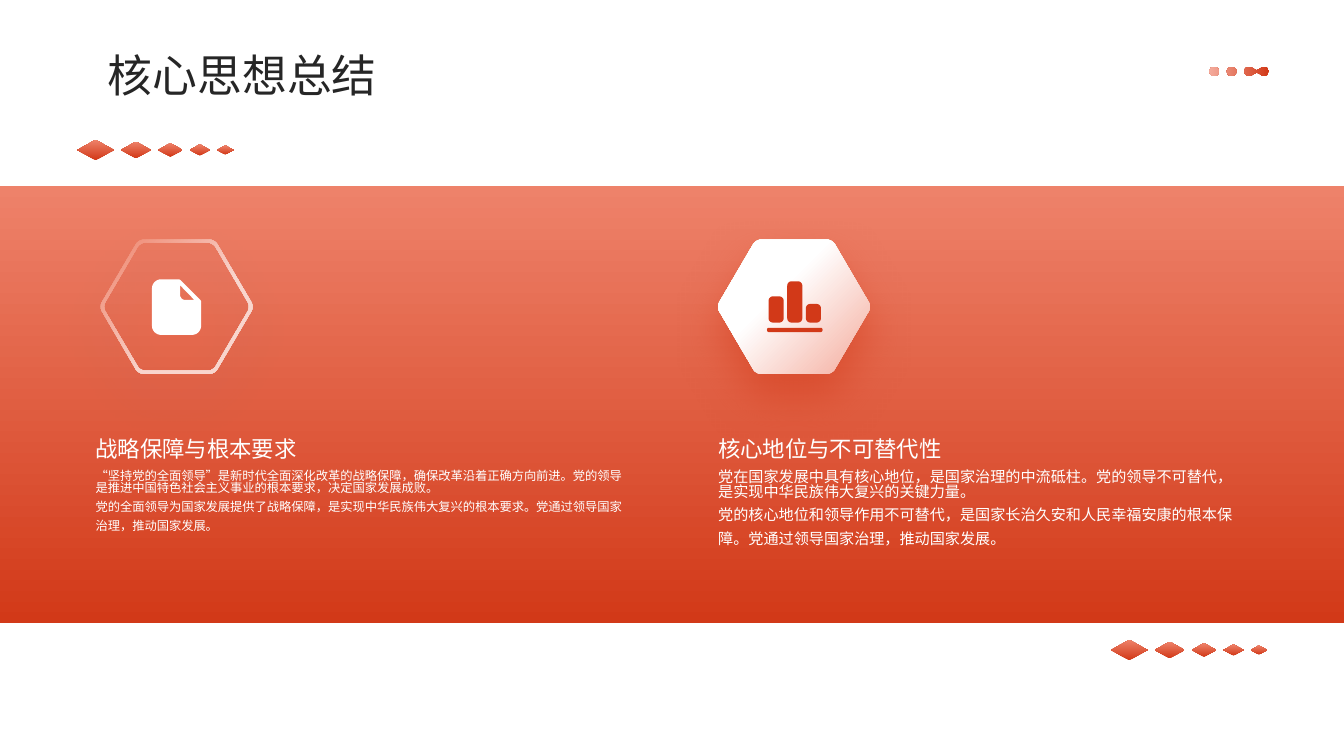
from math import cos, pi, sin

from lxml import etree
from pptx import Presentation
from pptx.dml.color import RGBColor
from pptx.enum.lang import MSO_LANGUAGE_ID
from pptx.enum.shapes import MSO_SHAPE
from pptx.enum.text import MSO_ANCHOR
from pptx.oxml.ns import qn
from pptx.util import Cm, Pt

RECT, DIAMOND = MSO_SHAPE.RECTANGLE, MSO_SHAPE.DIAMOND
TOP, MIDDLE, BOTTOM = MSO_ANCHOR.TOP, MSO_ANCHOR.MIDDLE, MSO_ANCHOR.BOTTOM
CHINESE = MSO_LANGUAGE_ID.SIMPLIFIED_CHINESE
FONT = "Noto Sans CJK SC"

RED = RGBColor(0xD2, 0x39, 0x18)
CORAL = RGBColor(0xEE, 0x82, 0x6A)
PINK = RGBColor(0xF4, 0xAB, 0x9C)
PALE = RGBColor(0xF9, 0xD5, 0xCD)
WHITE = RGBColor(0xFF, 0xFF, 0xFF)
INK = RGBColor(0x26, 0x26, 0x26)
BLUE = RGBColor(0x5B, 0x9B, 0xD5)

SLIDE_W, SLIDE_H = 33.87, 19.05
HEX_W, HEX_H = 3.82, 3.38


def plain(s, color=None):
    """Remove the line and shadow of a shape and give it a solid fill."""
    s.shadow.inherit = False
    s.line.fill.background()
    if color is not None:
        s.fill.solid()
        s.fill.fore_color.rgb = color
    return s


def gradient(s, start, end, angle=90, first=0):
    """Fill a shape with a two-colour linear gradient."""
    s.fill.gradient()
    s.fill.gradient_angle = angle
    for stop, color, at in zip(s.fill.gradient_stops, (start, end), (first, 1)):
        stop.color.rgb = color
        stop.position = at


def radiate(s, start, end, sides):
    """Fill a shape with a gradient that spreads from one corner."""
    gradient(s, start, end, first=0.39)
    lin = s._element.spPr.find(".//" + qn("a:lin"))
    path = etree.Element(qn("a:path"), path="circle")
    etree.SubElement(path, qn("a:fillToRect"), {side: "100000" for side in sides})
    lin.getparent().replace(lin, path)


def drop_shadow(s, color, opacity):
    """Add a soft shadow below a shape."""
    effects = s._element.spPr.find(qn("a:effectLst"))
    shadow = etree.SubElement(effects, qn("a:outerShdw"), blurRad=str(Pt(30)),
                              dist=str(Pt(16)), dir="5400000", rotWithShape="0")
    clr = etree.SubElement(shadow, qn("a:srgbClr"), val=str(color))
    etree.SubElement(clr, qn("a:alpha"), val=str(opacity * 1000))


def rounded(corners, steps=8):
    """Return an outline whose corners (x, y, cut) are rounded."""
    outline = []
    for i, (x, y, cut) in enumerate(corners):
        ends = []
        for nx, ny, _ in (corners[i - 1], corners[(i + 1) % len(corners)]):
            length = ((nx - x) ** 2 + (ny - y) ** 2) ** 0.5
            ends.append(((nx - x) * cut / length, (ny - y) * cut / length))
        (ax, ay), (bx, by) = ends
        for t in (k / steps for k in range(steps + 1)):
            u = 1 - t
            a = u ** 3 + 1.35 * u * u * t
            b = t ** 3 + 1.35 * t * t * u
            outline.append((x + a * ax + b * bx, y + a * ay + b * by))
    return outline


def bar(x, y, w, h, cut):
    """Return the outline of a rounded bar."""
    return rounded([(x, y, cut), (x + w, y, cut), (x + w, y + h, cut), (x, y + h, cut)])


def hexagon(scale=1):
    """Return a rounded hexagon scaled about its centre."""
    cx, cy = HEX_W / 2, HEX_H / 2
    dx, half, dy = 1.95 * scale, 0.96 * scale, cy * scale
    corners = [(-half, -dy), (half, -dy), (dx, 0), (half, dy), (-half, dy), (-dx, 0)]
    return rounded([(cx + x, cy + y, 0.13) for x, y in corners])


def arc(cx, r, first, last, steps=24):
    """Return points on an arc, angles in degrees, with its top at zero."""
    angles = [(first + (last - first) * k / steps) * pi / 180 for k in range(steps + 1)]
    return [(cx + r * cos(a), r + r * sin(a)) for a in angles]


def outline_shape(shapes, left, top, outlines):
    """Draw outlines, given relative to left and top, as one shape."""
    points = [[(Cm(left + x), Cm(top + y)) for x, y in o] for o in outlines]
    builder = shapes.build_freeform(*points[0][0])
    for i, outline in enumerate(points):
        if i:
            builder.move_to(*outline[0])
        builder.add_line_segments(outline[1:], close=True)
    return plain(builder.convert_to_shape())


def add_text(shapes, left, top, width, height, lines, size, color, anchor):
    """Add a text box from (text, line spacing) pairs."""
    s = shapes.add_textbox(Cm(left), Cm(top), Cm(width), Cm(height))
    tf = s.text_frame
    tf.word_wrap = True
    tf.vertical_anchor = anchor
    tf.margin_left = tf.margin_right = tf.margin_top = tf.margin_bottom = 0
    for i, (text, spacing) in enumerate(lines):
        p = tf.add_paragraph() if i else tf.paragraphs[0]
        p.line_spacing = spacing
        r = p.add_run()
        r.text = text
        r.font.size = Pt(size)
        r.font.name = FONT
        r.font.color.rgb = color
        r.font.language_id = CHINESE
        etree.SubElement(r._r.get_or_add_rPr(), qn("a:ea"), typeface=FONT)


def add_band(shapes, top, height):
    """Draw the full-width gradient band."""
    s = plain(shapes.add_shape(RECT, 0, Cm(top), Cm(SLIDE_W), Cm(height)))
    gradient(s, RED, CORAL)


def add_diamonds(shapes, left, middle):
    """Draw a row of five shrinking diamonds."""
    group = shapes.add_group_shape()
    width = 0.92
    for _ in range(5):
        height = width * 0.56
        s = plain(group.shapes.add_shape(DIAMOND, Cm(left), Cm(middle - height / 2),
                                         Cm(width), Cm(height)))
        gradient(s, RED, CORAL)
        left += width + 0.18
        width *= 0.82


def add_dots(shapes, left, top):
    """Draw two dots and a joined pair in one gradient."""
    r = 0.12
    pair = (arc(1.0, r, 40, 320) + [(1.19, r - 0.03)]
            + arc(1.38, r, 220, 500) + [(1.19, r + 0.03)])
    s = outline_shape(shapes, left, top, [arc(r, r, 0, 360), arc(0.56, r, 0, 360), pair])
    gradient(s, RED, PINK, angle=180)


def add_page_badge(shapes, left, top):
    """Draw the hexagon ring with a page icon."""
    ring = outline_shape(shapes, left, top, [hexagon(), hexagon(0.955)])
    radiate(ring, PALE, CORAL, "lt")
    drop_shadow(ring, BLUE, 20)
    page = rounded([(0, 0, 0.23), (0.7, 0, 0.03), (1.24, 0.54, 0.03),
                    (1.24, 1.4, 0.23), (0, 1.4, 0.23)])
    fold = rounded([(0.71, 0.15, 0), (0.71, 0.52, 0.13), (1.07, 0.52, 0)])
    plain(outline_shape(shapes, left + 1.29, top + 1.0, [page, fold]), WHITE)


def add_chart_badge(shapes, left, top):
    """Draw the filled hexagon with a bar icon."""
    s = outline_shape(shapes, left, top, [hexagon()])
    radiate(s, WHITE, PINK, "rb")
    drop_shadow(s, RED, 50)
    bars = [bar(0.04 + 0.47 * i, 1.04 - h, 0.38, h, 0.11)
            for i, h in enumerate((0.66, 1.04, 0.47))]
    base = bar(0, 1.17, 1.4, 0.11, 0.05)
    plain(outline_shape(shapes, left + 1.23, top + 1.05, bars + [base]), RED)


def add_column(shapes, left, top, heading, body, size):
    """Write a heading with two paragraphs below it."""
    add_text(shapes, left, top, 13.31, 1.7, [(heading, 1.3)], 16, WHITE, BOTTOM)
    add_text(shapes, left, top + 1.93, 13.31, 2.62, list(zip(body, (0.83, 1.28))),
             size, WHITE, TOP)


def main():
    """Build the slide and save it."""
    prs = Presentation()
    prs.slide_width, prs.slide_height = Cm(SLIDE_W), Cm(SLIDE_H)
    shapes = prs.slides.add_slide(prs.slide_layouts[6]).shapes
    add_band(shapes, 4.7, 11)
    add_diamonds(shapes, 1.95, 3.78)
    add_diamonds(shapes, 28, 16.38)
    add_page_badge(shapes, 2.54, 6.04)
    add_column(shapes, 2.41, 9.93, "战略保障与根本要求", (
        "“坚持党的全面领导”是新时代全面深化改革的战略保障，确保改革沿着正确方向前进。党的领导是推进中国特色社会主义事业的根本要求，决定国家发展成败。",
        "党的全面领导为国家发展提供了战略保障，是实现中华民族伟大复兴的根本要求。党通过领导国家治理，推动国家发展。"), 8.8)
    add_chart_badge(shapes, 18.1, 6.04)
    add_column(shapes, 18.1, 9.93, "核心地位与不可替代性", (
        "党在国家发展中具有核心地位，是国家治理的中流砥柱。党的领导不可替代，是实现中华民族伟大复兴的关键力量。",
        "党的核心地位和领导作用不可替代，是国家长治久安和人民幸福安康的根本保障。党通过领导国家治理，推动国家发展。"), 10.8)
    add_text(shapes, 2.72, 1.17, 27.33, 1.3, [("核心思想总结", 1.1)], 32, INK, MIDDLE)
    add_dots(shapes, 30.48, 1.68)
    prs.save("out.pptx")


if __name__ == "__main__":
    main()
